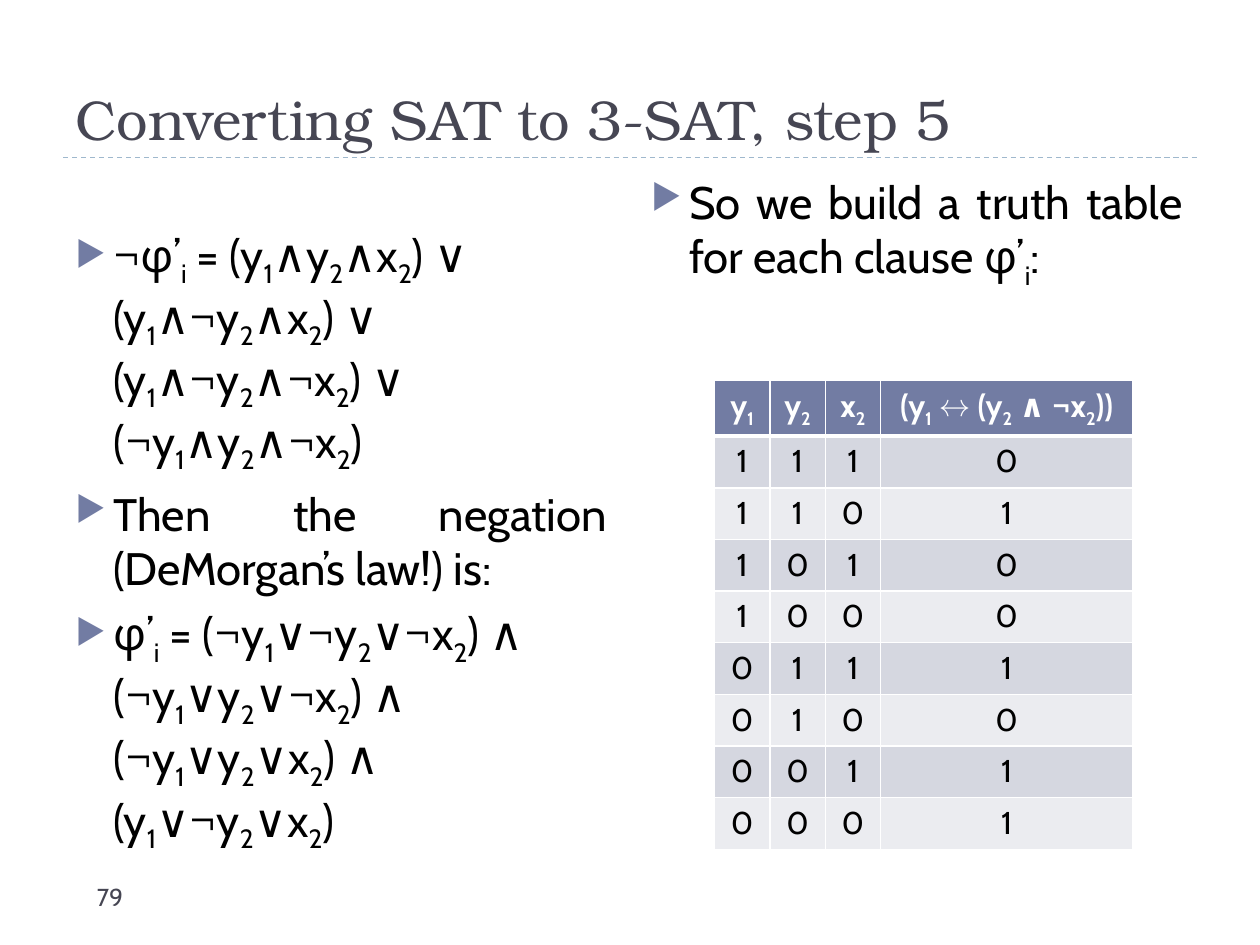
"""Build the slide on converting SAT to 3-SAT with its truth table."""
from itertools import product

from lxml.etree import SubElement
from pptx import Presentation
from pptx.dml.color import RGBColor as Color
from pptx.enum.dml import MSO_LINE as Dash
from pptx.enum.shapes import MSO_CONNECTOR as Connector
from pptx.enum.text import MSO_ANCHOR as Anchor, PP_ALIGN as Align
from pptx.oxml.ns import qn
from pptx.util import Inches, Pt

THEME = {
    "accent": "727CA3", "rule": "9FB8CD", "border": "FFFFFF",
    "bands": ("D5D7E0", "EBECF0"),
    "title": {"name": "TeX Gyre Bonum", "size": Pt(32), "color": "464653"},
    "number": {"name": "Cabin", "size": Pt(14), "color": "464653"},
    "body": {"name": "Cabin", "size": Pt(26), "color": "000000"},
    "head": {"name": "Cabin", "size": Pt(18), "color": "FFFFFF", "bold": True},
    "cell": {"name": "Cabin", "size": Pt(18), "color": "000000", "bold": False},
}


def write(para, text, style):
    """Add text; an underscore lowers the next character, a newline breaks the line."""
    for row, line in enumerate(text.split("\n")):
        if row:
            para.add_line_break()
        first, *rest = line.split("_")
        pieces = [(first, False)]
        for part in rest:
            pieces += [(part[:1], True), (part[1:], False)]
        for piece, lowered in pieces:
            if not piece:
                continue
            span = para.add_run()
            span.text = piece
            for key, value in THEME[style].items():
                if key == "color":
                    span.font.color.rgb = Color.from_string(value)
                else:
                    setattr(span.font, key, value)
            if lowered:
                span._r.get_or_add_rPr().set("baseline", "-25000")


def add_text(place, paragraphs, style, anchor=Anchor.TOP, bullets=False):
    """Add a text box holding (text, alignment) paragraphs."""
    frame = page.shapes.add_textbox(*map(Inches, place)).text_frame
    frame.word_wrap = True
    frame.vertical_anchor = anchor
    for index, (text, align) in enumerate(paragraphs):
        para = frame.add_paragraph() if index else frame.paragraphs[0]
        para.alignment = align
        if bullets:
            para.space_before = Pt(6)
            props = para._p.get_or_add_pPr()
            props.set("marL", str(Inches(0.3)))
            props.set("indent", str(Inches(-0.3)))
            tint = SubElement(props, qn("a:buClr"))
            SubElement(tint, qn("a:srgbClr"), val=THEME["accent"])
            SubElement(props, qn("a:buSzPct"), val="76000")
            SubElement(props, qn("a:buChar"), char="▶")
        write(para, text, style)


deck = Presentation()
deck.slide_width, deck.slide_height = Inches(10), Inches(7.5)
page = deck.slides.add_slide(deck.slide_layouts[6])

rule = page.shapes.add_connector(
    Connector.STRAIGHT, Inches(0.5), Inches(1.25), Inches(9.5), Inches(1.25))
rule.line.color.rgb = Color.from_string(THEME["rule"])
rule.line.width = Pt(0.75)
rule.line.dash_style = Dash.DASH
SubElement(rule._element.spPr, qn("a:effectLst"))

add_text((0.5, 0.25, 9, 1), [("Converting SAT to 3-SAT, step 5", Align.LEFT)],
         "title", Anchor.BOTTOM)
add_text((0.67, 6.95, 2.17, 0.4), [("79", Align.LEFT)], "number")

negated = ("¬φ’_i = (y_1∧y_2∧x_2) ∨\n(y_1∧¬y_2∧x_2) ∨\n"
           "(y_1∧¬y_2∧¬x_2) ∨\n(¬y_1∧y_2∧¬x_2)")
clauses = ("φ’_i = (¬y_1∨¬y_2∨¬x_2) ∧\n(¬y_1∨y_2∨¬x_2) ∧\n"
           "(¬y_1∨y_2∨x_2) ∧\n(y_1∨¬y_2∨x_2)")
add_text((0.5, 1.75, 4.42, 5.42), [
    (negated, Align.LEFT),
    ("Then the negation (DeMorgan’s law!) is:", Align.JUSTIFY),
    (clauses, Align.LEFT),
], "body", bullets=True)
add_text((5.07, 1.33, 4.42, 5.4), [
    ("So we build a truth table for each clause φ’_i:", Align.JUSTIFY),
], "body", bullets=True)

truth_rows = [("y_1", "y_2", "x_2", "(y_1 ↔ (y_2 ∧ ¬x_2))")]
for y1, y2, x2 in product((1, 0), repeat=3):
    truth_rows.append((y1, y2, x2, int(y1 == (y2 and 1 - x2))))

widths = (0.44, 0.44, 0.44, 2)
row_height = 0.41
table = page.shapes.add_table(
    len(truth_rows), len(widths), Inches(5.67), Inches(3.02),
    Inches(sum(widths)), Inches(row_height * len(truth_rows))).table
for column, width in zip(table.columns, widths):
    column.width = Inches(width)
for index, values in enumerate(truth_rows):
    table.rows[index].height = Inches(row_height)
    fill = THEME["bands"][(index - 1) % 2] if index else THEME["accent"]
    weights = {"L": 1, "R": 1, "T": 3 if index == 1 else 1, "B": 1 if index else 3}
    for position, value in enumerate(values):
        cell = table.cell(index, position)
        props = cell._tc.get_or_add_tcPr()
        for side, weight in weights.items():
            edge = SubElement(props, qn(f"a:ln{side}"), w=str(Pt(weight)))
            paint = SubElement(edge, qn("a:solidFill"))
            SubElement(paint, qn("a:srgbClr"), val=THEME["border"])
        cell.fill.solid()
        cell.fill.fore_color.rgb = Color.from_string(fill)
        para = cell.text_frame.paragraphs[0]
        para.alignment = Align.CENTER
        write(para, str(value), "cell" if index else "head")

deck.save("out.pptx")
